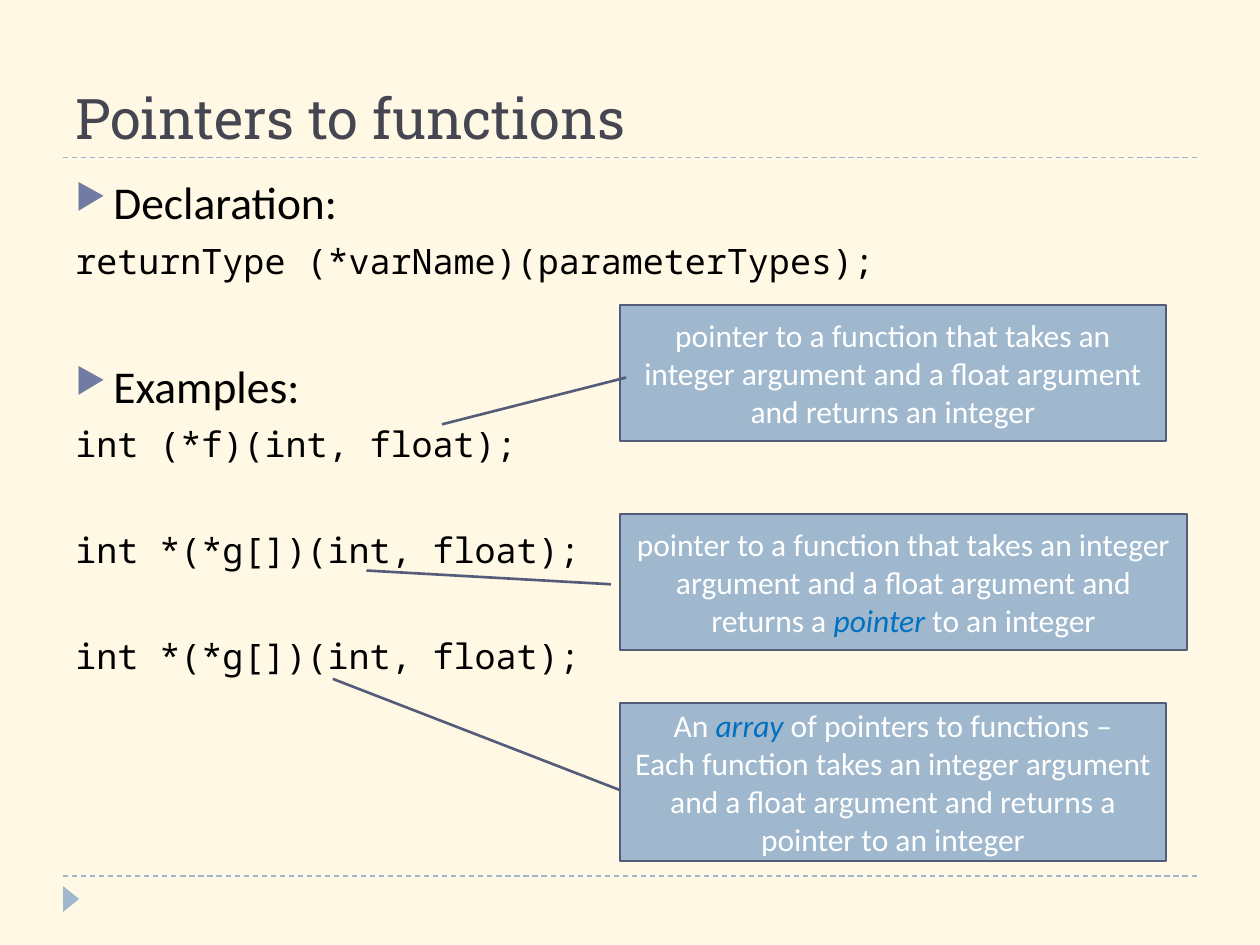
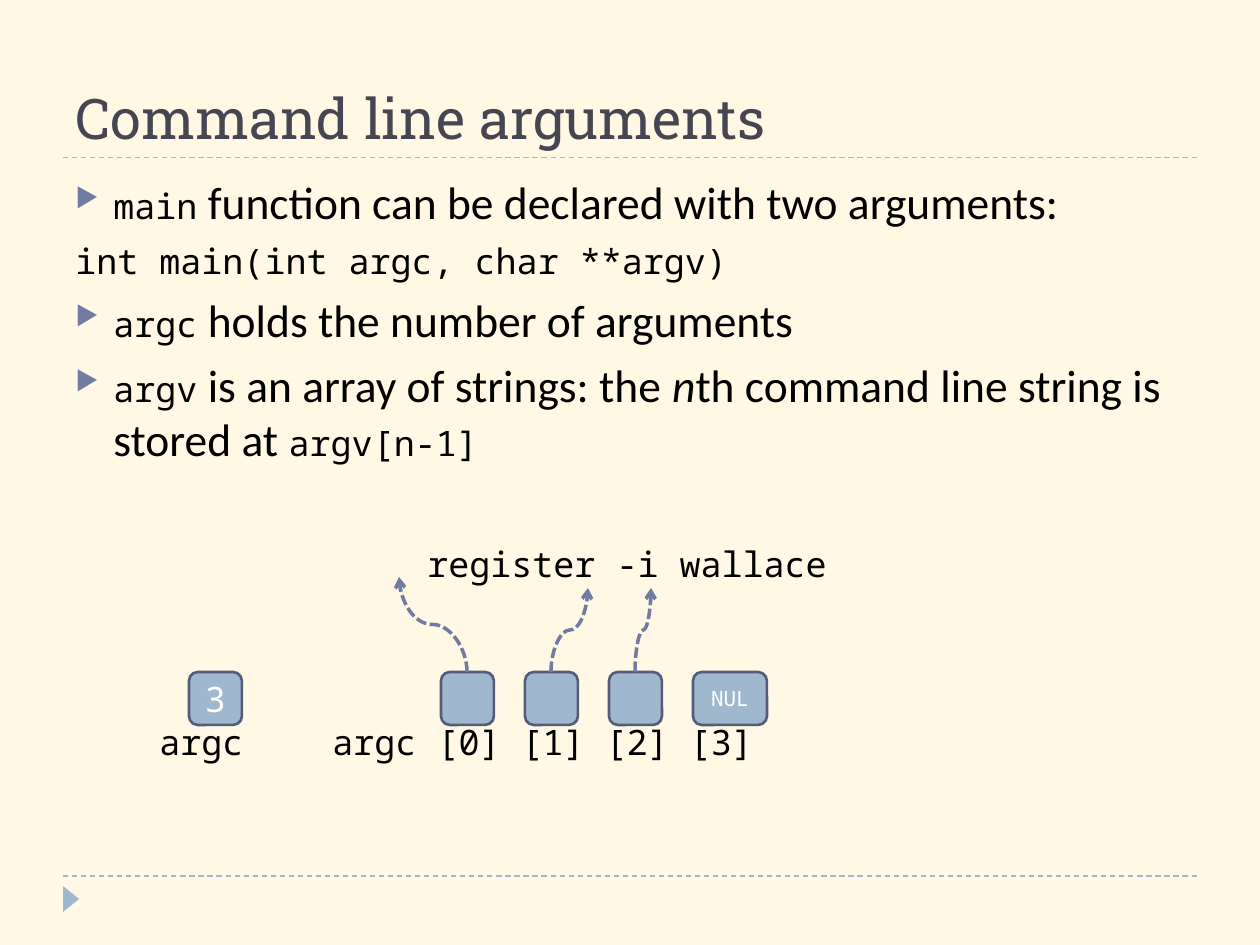
"""Build two lecture slides about function pointers and command line arguments."""
import dataclasses

import lxml.etree
import pptx
import pptx.dml.color
import pptx.enum.dml
import pptx.enum.shapes
import pptx.enum.text
import pptx.oxml.ns
import pptx.util

RGBColor = pptx.dml.color.RGBColor
CREAM = RGBColor(0xFE, 0xF8, 0xE4)
SLATE = RGBColor(0x46, 0x46, 0x53)
SKY = RGBColor(0x9F, 0xB8, 0xCD)
BORDER = RGBColor(0x54, 0x5C, 0x79)
VIOLET = RGBColor(0x72, 0x7C, 0xA3)
ACCENT = RGBColor(0x00, 0x70, 0xC0)
BLACK = RGBColor(0, 0, 0)
WHITE = RGBColor(255, 255, 255)

SHAPE = pptx.enum.shapes.MSO_SHAPE
CONNECTOR = pptx.enum.shapes.MSO_CONNECTOR
DASH = pptx.enum.dml.MSO_LINE
ANCHOR = pptx.enum.text.MSO_ANCHOR
ALIGN = pptx.enum.text.PP_ALIGN

LEFT, WIDTH = 63, 1134
GAP = 6
GAP_AFTER_CODE = 36.4
GAP_AFTER_SECTION = 43.7


@dataclasses.dataclass(frozen=True)
class Face:
    """Font, size, colour and slant of a span."""
    font: str
    size: int
    color: RGBColor = BLACK
    italic: bool = False


TITLE = Face("Roboto Slab", 32, SLATE)
BODY = Face("Calibri", 26)
BODY_ITALIC = Face("Calibri", 26, italic=True)
CODE = Face("Noto Sans Mono", 20)
NOTE = Face("Calibri", 18, WHITE)
NOTE_ACCENT = Face("Calibri", 18, ACCENT, True)
CELL = Face("Noto Sans Mono", 20, WHITE)
CELL_SMALL = Face("Noto Sans Mono", 12, WHITE)


def px(length):
    """Turn pixels into EMU at 126 pixels to the inch."""
    return pptx.util.Emu(round(length * 914400 / 126))


def add_xml(parent, tag, **attributes):
    """Append a DrawingML element to a parent."""
    name = pptx.oxml.ns.qn(tag)
    return lxml.etree.SubElement(parent, name, attributes)


class Lecture:
    """Holds the deck, its style and the current page."""

    def __init__(self):
        """Start an empty 10 by 7.5 inch deck."""
        self.deck = pptx.Presentation()
        self.deck.slide_width, self.deck.slide_height = px(1260), px(945)
        self.page = None

    def new_page(self, title):
        """Add a page with its background, rules, marker and title."""
        self.page = self.deck.slides.add_slide(self.deck.slide_layouts[6])
        fill = self.page.background.fill
        fill.solid()
        fill.fore_color.rgb = CREAM
        for y in (876, 157.5):
            self.line(CONNECTOR.STRAIGHT, (LEFT, y), (LEFT + WIDTH, y),
                      SKY, 0.75, DASH.DASH)
        marker = self.shape(SHAPE.ISOSCELES_TRIANGLE, 58, 891, 26, 16)
        marker.line.fill.background()
        marker.rotation = 90
        box = self.text_box(LEFT, 21, WIDTH, 136)
        box.text_frame.vertical_anchor = ANCHOR.BOTTOM
        self.spans(box.text_frame.paragraphs[0], [(title, TITLE)])

    def spans(self, para, parts):
        """Write (text, face) parts into a paragraph."""
        for text, face in parts:
            span = para.add_run()
            span.text = text
            span.font.name = face.font
            span.font.size = pptx.util.Pt(face.size)
            span.font.color.rgb = face.color
            span.font.italic = face.italic

    def text_box(self, x, y, width, height):
        """Add an empty wrapping text box."""
        box = self.page.shapes.add_textbox(px(x), px(y), px(width), px(height))
        box.text_frame.word_wrap = True
        return box

    def body(self, items):
        """Add the main text from (bulleted, gap, indent, parts) items."""
        frame = self.text_box(LEFT, 168, WIDTH, 680).text_frame
        for index, (bulleted, gap, indent, parts) in enumerate(items):
            para = frame.add_paragraph() if index else frame.paragraphs[0]
            para.space_before = pptx.util.Pt(gap)
            properties = para._p.get_or_add_pPr()
            if bulleted:
                properties.set("marL", str(px(38)))
                properties.set("indent", str(px(-38)))
                color = add_xml(properties, "a:buClr")
                add_xml(color, "a:srgbClr", val=str(VIOLET))
                add_xml(properties, "a:buSzPct", val="76000")
                add_xml(properties, "a:buChar", char="\u25b6")
            else:
                properties.set("marL", str(px(indent)))
            self.spans(para, parts)

    def label(self, x, y, width, text):
        """Add a one-line code label."""
        box = self.text_box(x, y, width, 55)
        box.text_frame.word_wrap = False
        box.text_frame.auto_size = pptx.enum.text.MSO_AUTO_SIZE.SHAPE_TO_FIT_TEXT
        self.spans(box.text_frame.paragraphs[0], [(text, CODE)])

    def shape(self, kind, x, y, width, height, paragraphs=()):
        """Add a blue bordered shape with centred paragraphs."""
        shape = self.page.shapes.add_shape(
            kind, px(x), px(y), px(width), px(height))
        shape.shadow.inherit = False
        shape.fill.solid()
        shape.fill.fore_color.rgb = SKY
        shape.line.color.rgb = BORDER
        shape.line.width = pptx.util.Pt(1.5)
        frame = shape.text_frame
        frame.word_wrap = True
        frame.vertical_anchor = ANCHOR.MIDDLE
        for index, parts in enumerate(paragraphs):
            para = frame.add_paragraph() if index else frame.paragraphs[0]
            para.alignment = ALIGN.CENTER
            self.spans(para, parts)
        return shape

    def callout(self, y, width, height, pointer, paragraphs):
        """Add a callout whose pointer is given as shape adjustments."""
        shape = self.shape(SHAPE.LINE_CALLOUT_1, 620, y, width, height, paragraphs)
        for index, value in enumerate(pointer):
            shape.adjustments[index] = value

    def cell(self, x, width=53, parts=()):
        """Add a rounded memory cell."""
        self.shape(SHAPE.ROUNDED_RECTANGLE, x, 672, width, 53, [parts])

    def line(self, kind, start, end, color, width, dash):
        """Add a dashed connector."""
        line = self.page.shapes.add_connector(
            kind, px(start[0]), px(start[1]), px(end[0]), px(end[1]))
        line.line.color.rgb = color
        line.line.width = pptx.util.Pt(width)
        line.line.dash_style = dash
        add_xml(line.element.spPr, "a:effectLst")
        return line

    def rising_arrow(self, start, end):
        """Add a curved arrow that leaves and arrives vertically."""
        middle_x, middle_y = (start[0] + end[0]) / 2, (start[1] + end[1]) / 2
        half_rise, half_run = (start[1] - end[1]) / 2, (end[0] - start[0]) / 2
        # Laid flat first, then turned a quarter to the left.
        arrow = self.line(CONNECTOR.CURVE,
                          (middle_x - half_rise, middle_y - half_run),
                          (middle_x + half_rise, middle_y + half_run),
                          VIOLET, 2, DASH.SQUARE_DOT)
        frame = arrow.element.spPr.find(pptx.oxml.ns.qn("a:xfrm"))
        frame.set("rot", str(270 * 60000))
        add_xml(arrow.line._get_or_add_ln(), "a:tailEnd", type="arrow")


def bullet(*parts, gap=GAP):
    """Describe a bulleted body paragraph."""
    return True, gap, 0, parts


def code(text, gap=GAP, indent=0):
    """Describe a body paragraph of code."""
    return False, gap, indent, [(text, CODE)]


def function_pointers(lecture):
    """Build the page on pointers to functions."""
    lecture.new_page("Pointers to functions")
    array_code = "int *(*g[])(int, float);"
    lecture.body([
        bullet(("Declaration:", BODY)),
        code("returnType (*varName)(parameterTypes);"),
        bullet(("Examples:", BODY), gap=GAP_AFTER_SECTION),
        code("int (*f)(int, float);"),
        code(array_code, GAP_AFTER_CODE),
        code(array_code, GAP_AFTER_CODE),
    ])
    takes = "takes an integer argument and a float argument and returns "
    pointer = "pointer to a function that " + takes
    lecture.callout(305, 546, 136, (0.534, 0.011, 0.878, -0.326),
                    [[(pointer + "an integer", NOTE)]])
    lecture.callout(514, 567, 136, (0.517, -0.016, 0.416, -0.447),
                    [[(pointer + "a ", NOTE), ("pointer", NOTE_ACCENT),
                      (" to an integer", NOTE)]])
    lecture.callout(703, 546, 158, (0.55, -0.001, -0.153, -0.526),
                    [[("An ", NOTE), ("array", NOTE_ACCENT),
                      (" of pointers to functions \u2013", NOTE)],
                     [("Each function " + takes + "a pointer to an integer", NOTE)]])


def command_line(lecture):
    """Build the page on command line arguments."""
    lecture.new_page("Command line arguments")
    lecture.body([
        bullet(("main", CODE),
               (" function can be declared with two arguments:", BODY)),
        code("int main(int argc, char **argv)"),
        bullet(("argc", CODE), (" holds the number of arguments", BODY)),
        bullet(("argv", CODE), (" is an array of strings: the ", BODY),
               ("n", BODY_ITALIC), ("th command line string is stored at ", BODY),
               ("argv[n-1]", CODE)),
        code("register -i wallace", GAP_AFTER_SECTION, 352),
    ])
    lecture.cell(189, parts=[("3", CELL)])
    lecture.label(147, 714, 111, "argc")
    first_cell, pitch = 441, 84
    for index in range(3):
        lecture.cell(first_cell + index * pitch)
    lecture.label(320, 714, 450, "argc [0] [1] [2] [3]")
    for index, target in enumerate([(399, 577), (588, 588), (651, 588)]):
        lecture.rising_arrow((first_cell + 26 + index * pitch, 672), target)
    lecture.cell(first_cell + 3 * pitch, 74, [("NUL", CELL_SMALL)])


def main():
    """Build both pages and save the deck."""
    lecture = Lecture()
    function_pointers(lecture)
    command_line(lecture)
    lecture.deck.save("out.pptx")


main()
